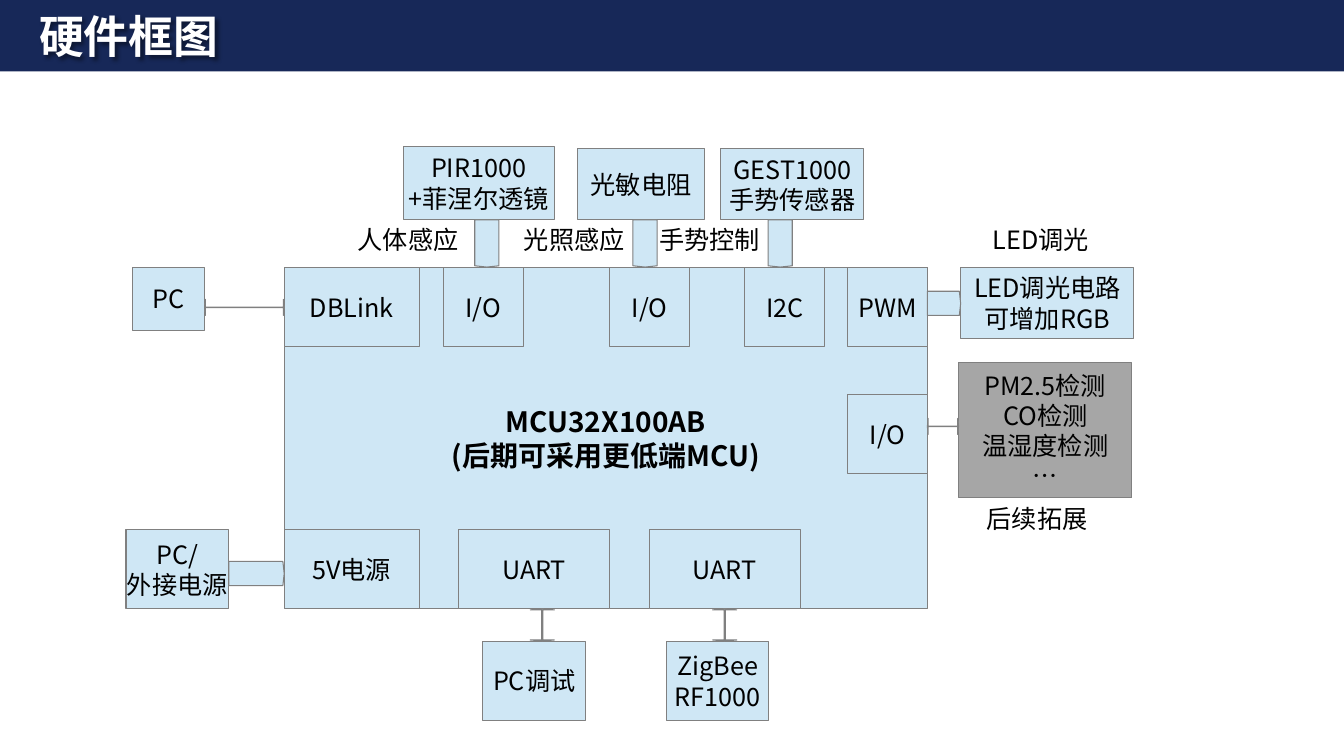
from lxml import etree
from pptx import Presentation
from pptx.dml.color import RGBColor
from pptx.enum.shapes import MSO_SHAPE
from pptx.enum.text import MSO_ANCHOR, PP_ALIGN
from pptx.oxml.ns import qn
from pptx.util import Pt

RECTANGLE = MSO_SHAPE.RECTANGLE
RIGHT, DOWN = MSO_SHAPE.RIGHT_ARROW, MSO_SHAPE.DOWN_ARROW
BOTH_WAYS, UP_DOWN = MSO_SHAPE.LEFT_RIGHT_ARROW, MSO_SHAPE.UP_DOWN_ARROW
CENTER, LEFT = PP_ALIGN.CENTER, PP_ALIGN.LEFT
MIDDLE, TOP = MSO_ANCHOR.MIDDLE, MSO_ANCHOR.TOP

THEME = {
    "font": "Noto Sans CJK SC",
    "banner": "172858", "block": "CFE7F5", "future": "A6A6A6",
    "line": "808080", "text": "000000", "title": "FFFFFF",
    "title_size": 32, "chip_size": 20, "body_size": 18, "line_width": 0.75,
}

TITLE = "硬件框图"
CHIP_TEXT = ["MCU32X100AB", "(后期可采用更低端MCU)"]
CHIP_LEFT, CHIP_TOP, CHIP_WIDTH, CHIP_HEIGHT = 203, 190.8, 459.4, 244.1
CHIP_RIGHT, CHIP_BOTTOM = CHIP_LEFT + CHIP_WIDTH, CHIP_TOP + CHIP_HEIGHT
PORT = 56.9
RIGHT_PORT_LEFT = CHIP_RIGHT - PORT
BOTTOM_PORT_TOP = CHIP_BOTTOM - PORT
SENSOR_BOTTOM, DEBUG_TOP = 157, 457.9
THICK, THIN = 17.3, 11.5

# text, left, width
TOP_PORTS = [("DBLink", CHIP_LEFT, 96.5), ("I/O", 316.8, PORT), ("I/O", 435.6, PORT),
             ("I2C", 532.1, PORT), ("PWM", RIGHT_PORT_LEFT, PORT)]
BOTTOM_PORTS = [("5V电源", CHIP_LEFT, 96.5), ("UART", 327.6, 108), ("UART", 463.7, 108)]
# lines, left, width, height
SENSORS = [(["PIR1000", "+菲涅尔透镜"], 288, 108, 52.6),
           (["光敏电阻"], 412.6, 90.7, 51.1),
           (["GEST1000", "手势传感器"], 514.8, 102.2, 51.1)]
# lines, left
DEBUG_MODULES = [(["PC调试"], 344.9), (["ZigBee", "RF1000"], 475.9)]
MODULE_WIDTH = 73.4
# lines, left, top, width, height, fill
SIDE_MODULES = [
    (["PC"], 95, CHIP_TOP, 51.1, 45.4, "block"),
    (["PC/", "外接电源"], 90, BOTTOM_PORT_TOP, MODULE_WIDTH, PORT, "block"),
    (["LED调光电路", "可增加RGB"], 686.2, CHIP_TOP, 123.8, 51.1, "block"),
    (["PM2.5检测", "CO检测", "温湿度检测", "…"], 684.7, 259.2, 123.8, 96.5, "future"),
]
# kind, start, end, centre height, thickness
SIDE_ARROWS = [(BOTH_WAYS, 146.1, CHIP_LEFT, 219.6, THIN),
               (RIGHT, 163.4, CHIP_LEFT, 409.7, THICK),
               (RIGHT, CHIP_RIGHT, 686.2, 216.7, THICK),
               (BOTH_WAYS, CHIP_RIGHT, 684.7, 304.6, THIN)]
SENSOR_ARROW_CENTRES = [347.8, 460.8, 557.3]
DEBUG_ARROW_CENTRES = [387.4, 517.7]
# text, left, top
LABELS = [("人体感应", 248.4, SENSOR_BOTTOM), ("光照感应", 367.2, SENSOR_BOTTOM),
          ("手势控制", 463.7, SENSOR_BOTTOM), ("后续拓展", 697.7, 355.7),
          ("LED调光", 702, SENSOR_BOTTOM)]
# shaft and head guides, in thousandths of a percent
ARROW_GUIDES = {RIGHT: (16200000, 5400), DOWN: (16200000, 5400),
                BOTH_WAYS: (4300, 5400), UP_DOWN: (5400, 4300)}


def theme_color(name):
    return RGBColor.from_string(THEME[name])


def write(shape, lines, size="body_size", color="text", bold=False,
          align=CENTER, anchor=MIDDLE):
    frame = shape.text_frame
    frame.word_wrap = False
    frame.vertical_anchor = anchor
    frame.text = "\n".join(lines)
    for paragraph in frame.paragraphs:
        paragraph.alignment = align
        font = paragraph.font
        font.name, font.size, font.bold = THEME["font"], Pt(THEME[size]), bold
        font.color.rgb = theme_color(color)
        defaults = paragraph._p.pPr.find(qn("a:defRPr"))
        etree.SubElement(defaults, qn("a:ea"), typeface=THEME["font"])


def add_block(slide, left, top, width, height, fill="block", kind=RECTANGLE, outlined=True):
    shape = slide.shapes.add_shape(kind, Pt(left), Pt(top), Pt(width), Pt(height))
    shape.shadow.inherit = False
    shape.fill.solid()
    shape.fill.fore_color.rgb = theme_color(fill)
    if outlined:
        shape.line.color.rgb = theme_color("line")
        shape.line.width = Pt(THEME["line_width"])
    else:
        shape.line.fill.background()
    return shape


def add_arrow(slide, kind, left, top, width, height):
    arrow = add_block(slide, left, top, width, height, kind=kind)
    guides = arrow._element.spPr.find(qn("a:prstGeom")).find(qn("a:avLst"))
    for guide in list(guides):
        guides.remove(guide)
    for number, value in enumerate(ARROW_GUIDES[kind], start=1):
        etree.SubElement(guides, qn("a:gd"), name=f"adj{number}", fmla=f"val {value}")


def add_label(slide, text, left, top, width, height, **style):
    box = slide.shapes.add_textbox(Pt(left), Pt(top), Pt(width), Pt(height))
    write(box, [text], align=LEFT, **style)
    return box


def add_text_shadow(box):
    """Shadow an unfilled text box, so that its letters cast the shadow."""
    effects = etree.SubElement(box._element.spPr, qn("a:effectLst"))
    shadow = etree.SubElement(effects, qn("a:outerShdw"), blurRad=str(Pt(3)),
                              dist=str(Pt(3)), dir="2700000", algn="tl")
    black = etree.SubElement(shadow, qn("a:srgbClr"), val=THEME["text"])
    etree.SubElement(black, qn("a:alpha"), val="43000")


def add_blocks(slide):
    chip = add_block(slide, CHIP_LEFT, CHIP_TOP, CHIP_WIDTH, CHIP_HEIGHT)
    write(chip, CHIP_TEXT, size="chip_size", bold=True)
    blocks = [([text], left, CHIP_TOP, width, PORT, "block")
              for text, left, width in TOP_PORTS]
    blocks += [([text], left, BOTTOM_PORT_TOP, width, PORT, "block")
               for text, left, width in BOTTOM_PORTS]
    blocks.append((["I/O"], RIGHT_PORT_LEFT, 281.5, PORT, PORT, "block"))
    blocks += [(lines, left, SENSOR_BOTTOM - height, width, height, "block")
               for lines, left, width, height in SENSORS]
    blocks += [(lines, left, DEBUG_TOP, MODULE_WIDTH, PORT, "block")
               for lines, left in DEBUG_MODULES]
    for lines, *place in blocks + SIDE_MODULES:
        write(add_block(slide, *place), lines)


def add_arrows(slide):
    for kind, start, end, centre, thickness in SIDE_ARROWS:
        add_arrow(slide, kind, start, centre - thickness / 2, end - start, thickness)
    for kind, centres, top, bottom in [
        (DOWN, SENSOR_ARROW_CENTRES, SENSOR_BOTTOM, CHIP_TOP),
        (UP_DOWN, DEBUG_ARROW_CENTRES, CHIP_BOTTOM, DEBUG_TOP),
    ]:
        for centre in centres:
            add_arrow(slide, kind, centre - THICK / 2, top, THICK, bottom - top)


def main():
    presentation = Presentation()
    presentation.slide_width, presentation.slide_height = Pt(960), Pt(540)
    slide = presentation.slides.add_slide(presentation.slide_layouts[6])
    add_block(slide, 0, 0, 960, 51, fill="banner", outlined=False)
    title = add_label(slide, TITLE, 20.9, 2.2, 144, 46, size="title_size",
                      color="title", bold=True)
    add_text_shadow(title)
    add_blocks(slide)
    add_arrows(slide)
    for text, left, top in LABELS:
        add_label(slide, text, left, top, 90.7, 28.1, anchor=TOP)
    presentation.save("out.pptx")


if __name__ == "__main__":
    main()
